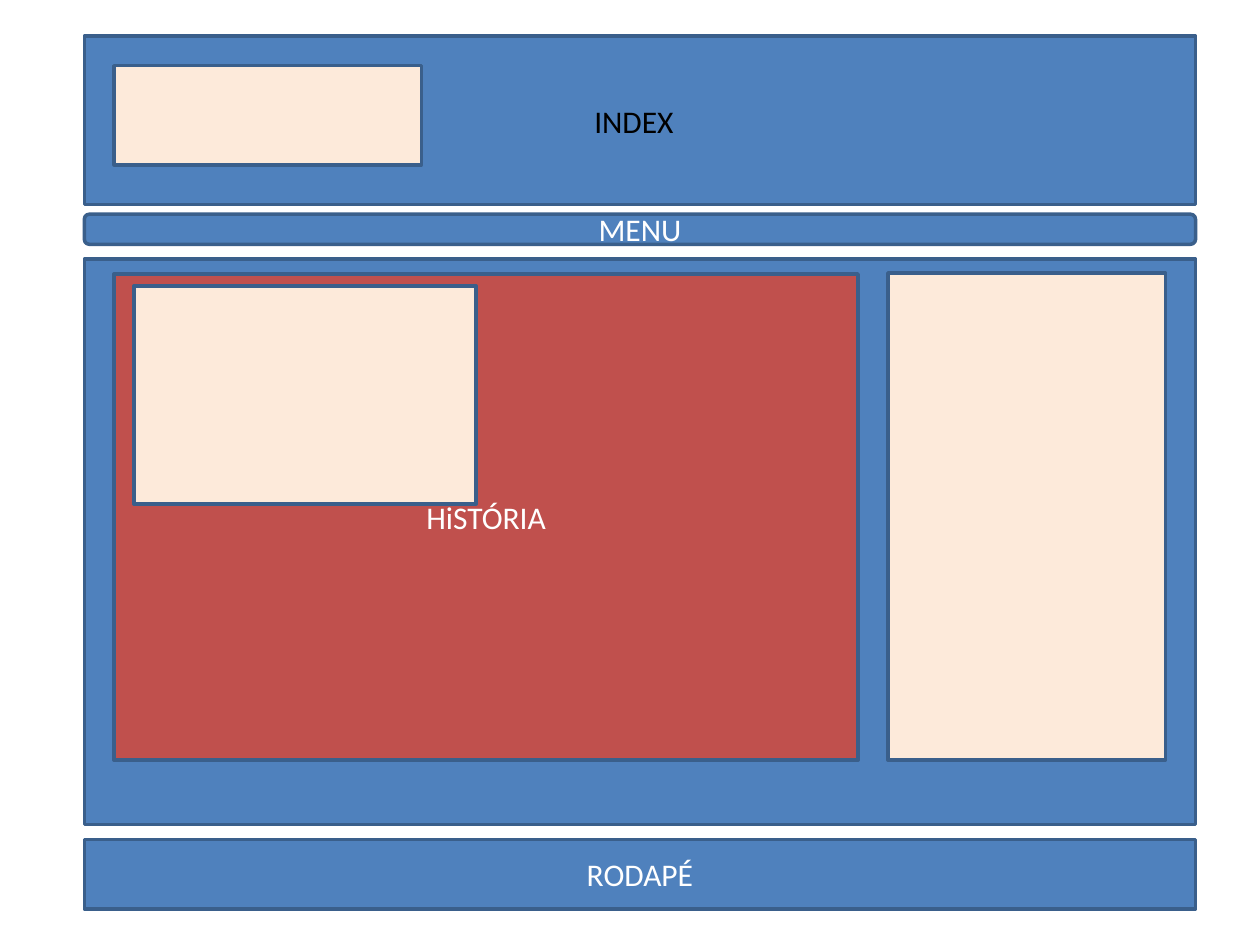
from dataclasses import dataclass

from pptx import Presentation
from pptx.dml.color import RGBColor
from pptx.enum.shapes import MSO_SHAPE
from pptx.enum.text import MSO_ANCHOR, MSO_AUTO_SIZE, PP_ALIGN
from pptx.util import Pt

RECTANGLE = MSO_SHAPE.RECTANGLE
ROUNDED = MSO_SHAPE.ROUNDED_RECTANGLE
MIDDLE = MSO_ANCHOR.MIDDLE
TOP = MSO_ANCHOR.TOP
CENTER = PP_ALIGN.CENTER
FIT_SHAPE = MSO_AUTO_SIZE.SHAPE_TO_FIT_TEXT

BLUE = "4F81BD"
RED = "C0504D"
CREAM = "FDEADA"
OUTLINE = "3A5F8B"
WHITE = "FFFFFF"
BLACK = "000000"

PAGE_LEFT = 48.2
PAGE_WIDTH = 635
CONTENT_LEFT = 65.2


@dataclass(frozen=True)
class Block:
    left: float
    top: float
    width: float
    height: float
    fill: str
    text: str = ""
    kind: MSO_SHAPE = RECTANGLE


BLOCKS = [
    Block(PAGE_LEFT, 20.6, PAGE_WIDTH, 96.4, BLUE),
    Block(PAGE_LEFT, 148, PAGE_WIDTH, 323.2, BLUE),
    Block(PAGE_LEFT, 479.7, PAGE_WIDTH, 39.7, BLUE, "RODAPÉ"),
    Block(CONTENT_LEFT, 156.6, 425.2, 277.8, RED, "HiSTÓRIA"),
    Block(507.4, 156, 158.6, 278.4, CREAM),
    Block(CONTENT_LEFT, 37.6, 175.6, 56.7, CREAM),
    Block(76.5, 163.5, 195.6, 124.5, CREAM),
    Block(PAGE_LEFT, 122.4, PAGE_WIDTH, 17.2, BLUE, "MENU", ROUNDED),
]


def color(value: str) -> RGBColor:
    return RGBColor.from_string(value)


def write_text(shape, text: str, *, fill: str = WHITE, size: float = 18,
               font: str = "Calibri", anchor=MIDDLE) -> None:
    frame = shape.text_frame
    frame.word_wrap = True
    frame.vertical_anchor = anchor
    paragraph = frame.paragraphs[0]
    paragraph.alignment = CENTER
    run = paragraph.add_run()
    run.text = text
    run.font.name = font
    run.font.size = Pt(size)
    run.font.color.rgb = color(fill)


def draw_block(slide, block: Block) -> None:
    shape = slide.shapes.add_shape(
        block.kind, Pt(block.left), Pt(block.top), Pt(block.width), Pt(block.height))
    shape.shadow.inherit = False
    shape.fill.solid()
    shape.fill.fore_color.rgb = color(block.fill)
    shape.line.color.rgb = color(OUTLINE)
    shape.line.width = Pt(2)
    if block.text:
        write_text(shape, block.text)


def main() -> None:
    presentation = Presentation()
    presentation.slide_width = Pt(720)
    presentation.slide_height = Pt(540)
    slide = presentation.slides.add_slide(presentation.slide_layouts[6])
    for block in BLOCKS:
        draw_block(slide, block)
    title = slide.shapes.add_textbox(Pt(313.2), Pt(54.7), Pt(102.2), Pt(29.1))
    write_text(title, "INDEX ", fill=BLACK, anchor=TOP)
    title.text_frame.auto_size = FIT_SHAPE
    presentation.save("out.pptx")


if __name__ == "__main__":
    main()
